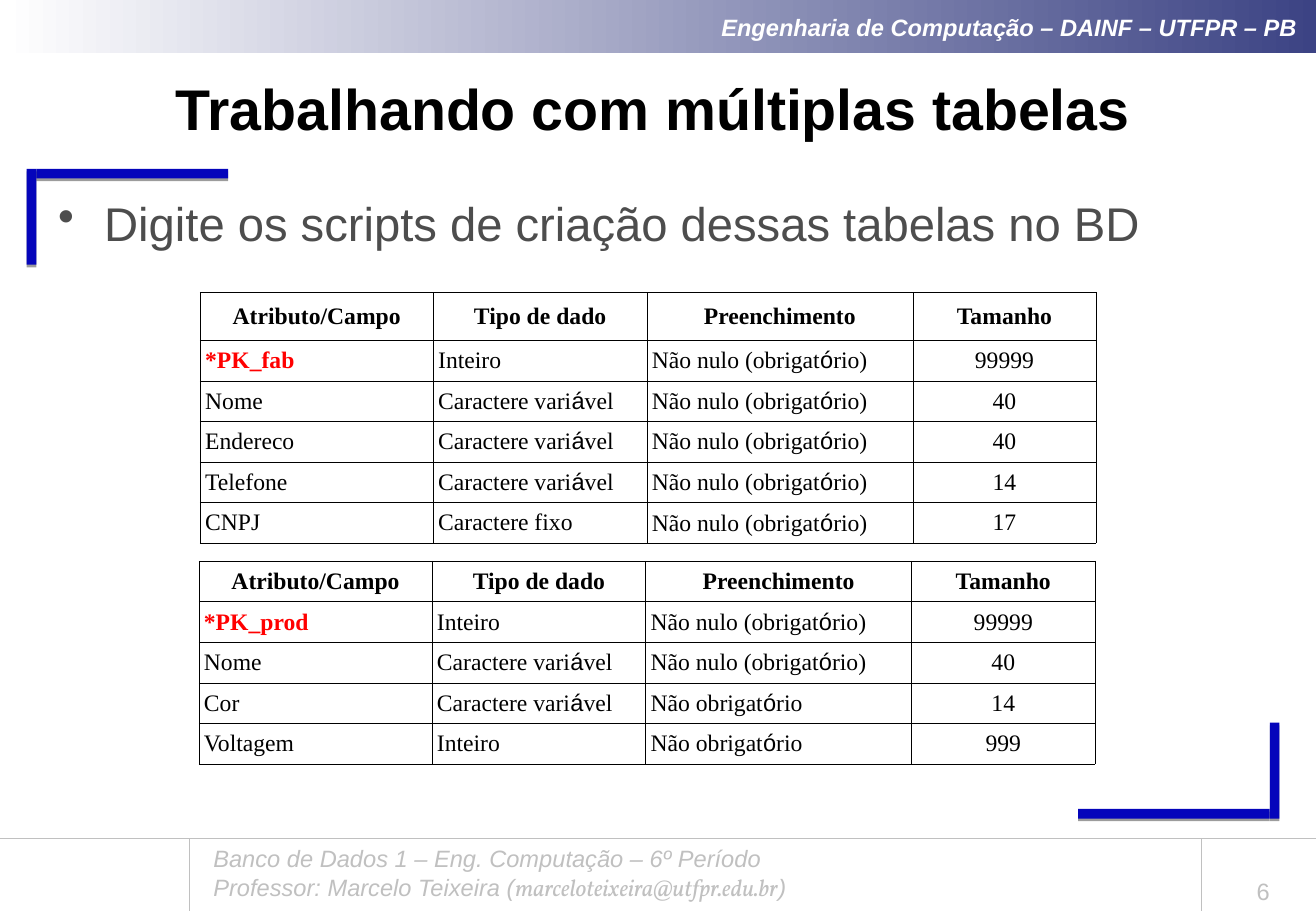
import itertools
import typing

import lxml.etree
import pptx
import pptx.dml.color
import pptx.enum.shapes
import pptx.enum.text
import pptx.oxml.ns
import pptx.util

COLORS = {
    "white": "FFFFFF", "navy": "3C4384", "blue": "0505BB", "black": "000000",
    "gray": "4D4D4D", "silver": "C0C0C0", "red": "FF0000",
}
ALIGN = pptx.enum.text.PP_ALIGN
ANCHOR = pptx.enum.text.MSO_ANCHOR
RECTANGLE = pptx.enum.shapes.MSO_SHAPE.RECTANGLE
STRAIGHT = pptx.enum.shapes.MSO_CONNECTOR.STRAIGHT

FIELD_HEADINGS = ["Atributo/Campo", "Tipo de dado", "Preenchimento", "Tamanho"]
FIELD_WIDTHS = [1.92, 1.76, 2.19, 1.51]
REQUIRED = "Não nulo (obrigatório)"
OPTIONAL = "Não obrigatório"
VARCHAR = "Caractere variável"
MANUFACTURER = [
    ["*PK_fab", "Inteiro", REQUIRED, "99999"],
    ["Nome", VARCHAR, REQUIRED, "40"],
    ["Endereco", VARCHAR, REQUIRED, "40"],
    ["Telefone", VARCHAR, REQUIRED, "14"],
    ["CNPJ", "Caractere fixo", REQUIRED, "17"],
]
PRODUCT = [
    ["*PK_prod", "Inteiro", REQUIRED, "99999"],
    ["Nome", VARCHAR, REQUIRED, "40"],
    ["Cor", VARCHAR, OPTIONAL, "14"],
    ["Voltagem", "Inteiro", OPTIONAL, "999"],
]


class Box(typing.NamedTuple):
    left: int
    top: int
    width: int
    height: int

    def share(self, left, top, width, height):
        return Box(
            round(self.left + self.width * left / 100),
            round(self.top + self.height * top / 100),
            round(self.width * width / 100),
            round(self.height * height / 100),
        )


def rgb(color):
    return pptx.dml.color.RGBColor.from_string(COLORS[color])


def add_child(parent, tag, **attributes):
    child = lxml.etree.SubElement(parent, pptx.oxml.ns.qn(tag))
    for key, value in attributes.items():
        child.set(key, str(value))
    return child


def add_run(paragraph, text, size, color, font="Arial", bold=False, italic=False):
    run = paragraph.add_run()
    run.text = text
    run.font.size = pptx.util.Pt(size)
    run.font.name = font
    run.font.bold = bold
    run.font.italic = italic
    run.font.color.rgb = rgb(color)


def add_text_frame(slide, box, anchor=ANCHOR.TOP):
    frame = slide.shapes.add_textbox(*box).text_frame
    frame.word_wrap = True
    frame.vertical_anchor = anchor
    return frame


def add_header(slide, box):
    band = slide.shapes.add_shape(RECTANGLE, *box)
    band.shadow.inherit = False
    band.line.fill.background()
    band.fill.gradient()
    band.fill.gradient_angle = 0
    for stop, color, position in zip(band.fill.gradient_stops, ("white", "navy"), (0, 1)):
        stop.color.rgb = rgb(color)
        stop.position = position
    band.text_frame.word_wrap = True
    band.text_frame.vertical_anchor = ANCHOR.MIDDLE
    course = band.text_frame.paragraphs[0]
    course.alignment = ALIGN.RIGHT
    add_run(course, "Engenharia de Computação – DAINF – UTFPR – PB ", 14, "white",
            bold=True, italic=True)


def add_bracket(slide, box, opening):
    if opening:
        bars = [box.share(4.82, 0, 95.18, 10.13), box.share(0, 0, 4.82, 100)]
    else:
        bars = [box.share(0, 89.87, 95.18, 10.13), box.share(95.18, 0, 4.82, 100)]
    for bar_box in bars:
        bar = slide.shapes.add_shape(RECTANGLE, *bar_box)
        bar.fill.solid()
        bar.fill.fore_color.rgb = rgb("blue")
        bar.line.fill.background()
        bar.shadow.inherit = False
        effects = bar._element.spPr.find(pptx.oxml.ns.qn("a:effectLst"))
        shadow = add_child(effects, "a:outerShdw", blurRad=0, dist=pptx.util.Pt(1.6),
                           dir=5400000, algn="t", rotWithShape=0)
        tint = add_child(shadow, "a:srgbClr", val=COLORS["black"])
        add_child(tint, "a:alpha", val=38000)


def add_rule(slide, box, weight):
    rule = slide.shapes.add_connector(
        STRAIGHT, box.left, box.top, box.left + box.width, box.top + box.height)
    rule.line.color.rgb = rgb("silver")
    rule.line.width = pptx.util.Pt(weight)
    add_child(rule._element.spPr, "a:effectLst")


def add_footer(slide, box):
    for divider in (14.39, 91.33):
        add_rule(slide, box.share(divider, 0, 0, 100), 0.75)
    add_rule(slide, box.share(0, 0, 100, 0), 0.25)
    credits = add_text_frame(slide, box.share(15.31, 0, 69.56, 95))
    add_run(credits.paragraphs[0], "Banco de Dados 1 – Eng. Computação – 6º Período",
            14, "silver", italic=True)
    professor = credits.add_paragraph()
    for text, font in (("Professor: Marcelo Teixeira (", "Arial"),
                       ("marceloteixeira@utfpr.edu.br", "Vollkorn"), (")", "Arial")):
        add_run(professor, text, 14, "silver", font, italic=True)
    page = add_text_frame(slide, box.share(91.97, 35, 8.03, 65), ANCHOR.BOTTOM).paragraphs[0]
    page.alignment = ALIGN.CENTER
    add_run(page, "6", 14, "silver")


def add_title(slide, box):
    title = add_text_frame(slide, box, ANCHOR.MIDDLE).paragraphs[0]
    title.alignment = ALIGN.CENTER
    add_run(title, "Trabalhando com múltiplas tabelas", 34, "black", bold=True)


def add_instruction(slide, box):
    instruction = add_text_frame(slide, box).paragraphs[0]
    properties = instruction._p.get_or_add_pPr()
    indent = pptx.util.Inches(0.38)
    properties.set("marL", str(indent))
    properties.set("indent", str(-indent))
    add_child(add_child(properties, "a:buClr"), "a:srgbClr", val=COLORS["gray"])
    add_child(properties, "a:buChar", char="•")
    add_run(instruction, "Digite os scripts de criação dessas tabelas no BD", 28, "gray")


def style_cell(cell):
    cell.fill.background()
    cell.vertical_anchor = ANCHOR.MIDDLE
    cell.margin_left = cell.margin_right = pptx.util.Inches(0.04)
    properties = cell._tc.get_or_add_tcPr()
    for index, side in enumerate(("a:lnL", "a:lnR", "a:lnT", "a:lnB")):
        border = add_child(properties, side, w=pptx.util.Pt(0.45))
        add_child(add_child(border, "a:solidFill"), "a:srgbClr", val=COLORS["black"])
        properties.insert(index, border)


def add_field_table(slide, box, fields, heading_weight):
    rows = [FIELD_HEADINGS] + fields
    table = slide.shapes.add_table(len(rows), len(FIELD_HEADINGS), *box).table
    table.first_row = table.horz_banding = False
    for column, width in zip(table.columns, FIELD_WIDTHS):
        column.width = round(box.width * width / sum(FIELD_WIDTHS))
    weights = [heading_weight] + [1] * len(fields)
    for row, weight in zip(table.rows, weights):
        row.height = round(box.height * weight / sum(weights))
    for r, values in enumerate(rows):
        for c, value in enumerate(values):
            cell = table.cell(r, c)
            style_cell(cell)
            paragraph = cell.text_frame.paragraphs[0]
            paragraph.alignment = ALIGN.CENTER if r == 0 or c == 3 else ALIGN.LEFT
            is_key = value.startswith("*")
            for accented, letters in itertools.groupby(value, lambda letter: letter in "áó"):
                add_run(paragraph, "".join(letters), 14, "red" if is_key else "black",
                        "Arial" if accented else "Times New Roman", bold=r == 0 or is_key)


def main():
    deck = pptx.Presentation()
    deck.slide_width = pptx.util.Inches(10.84)
    deck.slide_height = pptx.util.Inches(7.5)
    slide = deck.slides.add_slide(deck.slide_layouts[6])
    page = Box(0, 0, deck.slide_width, deck.slide_height)
    add_header(slide, page.share(0.18, 0, 99.82, 5.87))
    add_bracket(slide, page.share(81.92, 79.33, 15.31, 10.53), opening=False)
    add_bracket(slide, page.share(2.03, 18.53, 15.31, 10.53), opening=True)
    add_footer(slide, page.share(0, 92, 100, 8))
    add_title(slide, page.share(2.03, 7.2, 95.2, 9.2))
    add_instruction(slide, page.share(3.51, 20.67, 92.25, 69.33))
    add_field_table(slide, page.share(15.22, 32.13, 68.08, 26.13), MANUFACTURER, 1.25)
    add_field_table(slide, page.share(15.13, 61.6, 68.08, 20.8), PRODUCT, 1)
    deck.save("out.pptx")


if __name__ == "__main__":
    main()
